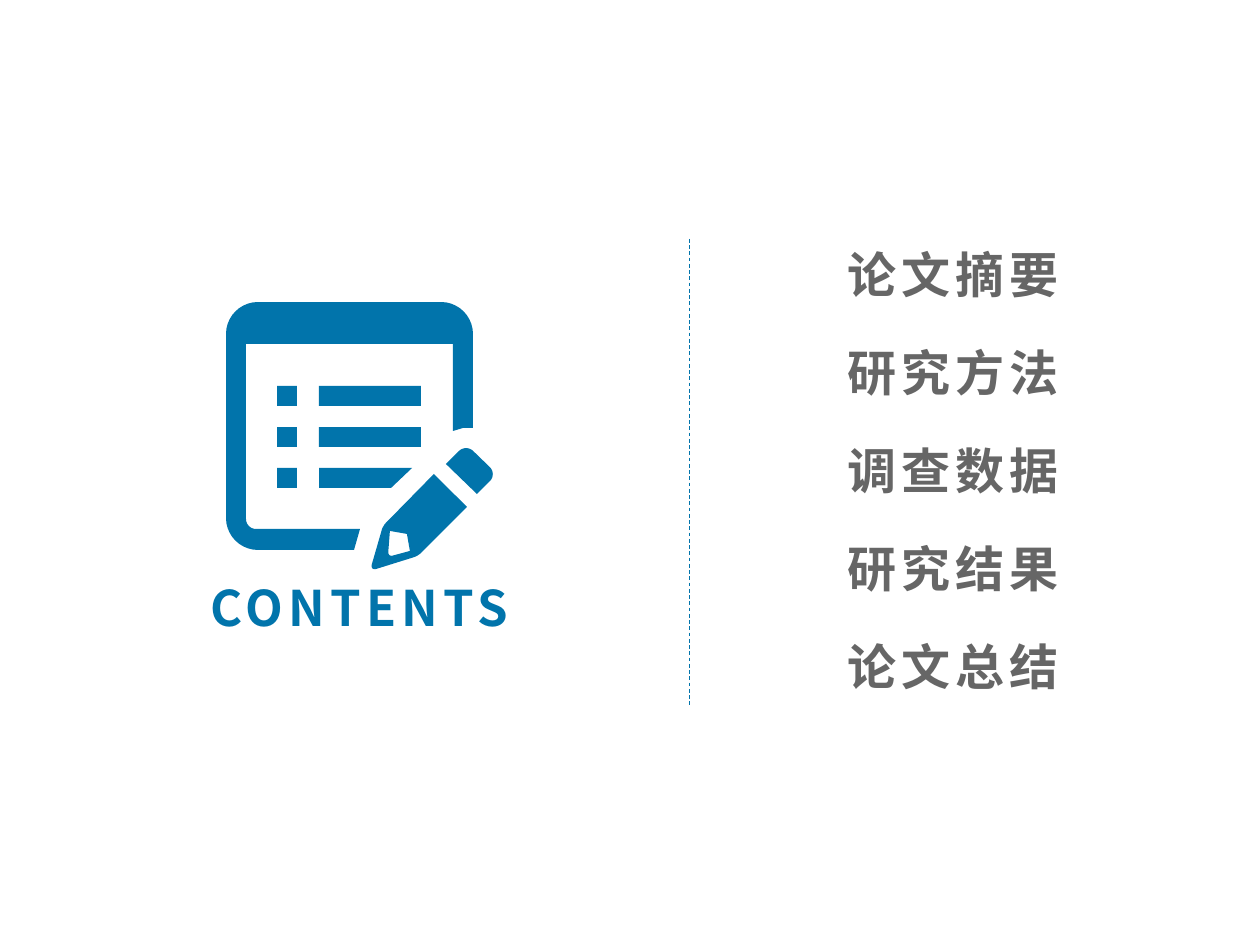
"""Build a contents slide with a notepad icon and five section titles."""
from math import dist

from lxml.etree import SubElement
from pptx import Presentation
from pptx.dml.color import RGBColor
from pptx.enum.dml import MSO_LINE
from pptx.enum.shapes import MSO_CONNECTOR, MSO_SHAPE
from pptx.enum.text import MSO_AUTO_SIZE, PP_ALIGN
from pptx.oxml.ns import qn
from pptx.util import Emu, Pt

FONT = "Noto Sans CJK SC"
BLUE = "0174AB"
GREY = "666666"
SECTIONS = ["论文摘要", "研究方法", "调查数据", "研究结果", "论文总结"]

PAD_FRAME = [
    (360, 529), (354, 550), (226, 550, 32), (226, 302, 32), (473, 302, 32),
    (473, 428), (463, 428), (453, 431), (453, 344), (246, 344), (246, 529, 10),
]
PENCIL_BODY = [(434, 474), (467, 507), (418, 556, 4), (370, 571, 7), (383, 526, 4)]
PENCIL_TIP = [(390, 531), (407, 534), (410, 551), (388, 557, 5)]
ERASER = [(446, 464), (466, 444, 10), (497, 474, 10), (477, 494)]
SHORT_BAR = [(319, 468), (412, 468), (391, 488), (319, 488)]


def px(length):
    """Turn pixels into EMU."""
    return Emu(round(length * 914400 / 126))


def color(hex_code):
    """Turn a hex string into a colour."""
    return RGBColor.from_string(hex_code)


def paint(shape, hex_code):
    """Give a shape a flat fill without line or shadow."""
    shape.shadow.inherit = False
    shape.fill.solid()
    shape.fill.fore_color.rgb = color(hex_code)
    shape.line.fill.background()


def toward(start, end, length):
    """Return the point at a given length from start toward end."""
    share = length / dist(start, end)
    return tuple(a + (b - a) * share for a, b in zip(start, end))


def rounded(corners, steps=10):
    """Return outline points, with corners that carry a radius rounded off."""
    points = []
    for index, (x, y, *radius) in enumerate(corners):
        corner = (x, y)
        if not radius:
            points.append(corner)
            continue
        before = corners[index - 1][:2]
        after = corners[(index + 1) % len(corners)][:2]
        controls = [
            toward(corner, before, radius[0]),
            toward(corner, before, radius[0] * 0.45),
            toward(corner, after, radius[0] * 0.45),
            toward(corner, after, radius[0]),
        ]
        for step in range(steps + 1):
            t = step / steps
            weights = ((1 - t) ** 3, 3 * t * (1 - t) ** 2, 3 * t * t * (1 - t), t ** 3)
            points.append(tuple(
                sum(w * c[axis] for w, c in zip(weights, controls)) for axis in (0, 1)
            ))
    return points


def add_outline(slide, *contours):
    """Draw one blue freeform; further contours cut holes."""
    paths = [[(px(x), px(y)) for x, y in rounded(corners)] for corners in contours]
    builder = slide.shapes.build_freeform(*paths[0][0])
    builder.add_line_segments(paths[0][1:], close=True)
    for hole in paths[1:]:
        builder.move_to(*hole[0])
        builder.add_line_segments(hole[1:], close=True)
    paint(builder.convert_to_shape(), BLUE)


def add_bar(slide, left, top, width, height):
    """Draw one blue rectangle."""
    bar = slide.shapes.add_shape(
        MSO_SHAPE.RECTANGLE, px(left), px(top), px(width), px(height))
    paint(bar, BLUE)


def add_text(slide, text, left, top, width, height=72, *, size=28,
             hex_code=GREY, align=PP_ALIGN.LEFT, spacing=3):
    """Add one line of bold, letter-spaced text."""
    box = slide.shapes.add_textbox(px(left), px(top), px(width), px(height))
    frame = box.text_frame
    frame.word_wrap = True
    frame.auto_size = MSO_AUTO_SIZE.SHAPE_TO_FIT_TEXT
    paragraph = frame.paragraphs[0]
    paragraph.alignment = align
    run = paragraph.add_run()
    run.text = text
    font = run.font
    font.name = FONT
    font.size = Pt(size)
    font.bold = True
    font.color.rgb = color(hex_code)
    properties = run._r.get_or_add_rPr()
    properties.set("spc", str(spacing * 100))
    SubElement(properties, qn("a:ea")).set("typeface", FONT)


def add_divider(slide, x, top, bottom):
    """Draw the dashed vertical divider."""
    divider = slide.shapes.add_connector(
        MSO_CONNECTOR.STRAIGHT, px(x), px(top), px(x), px(bottom))
    divider.line.color.rgb = color(BLUE)
    divider.line.width = Pt(0.5)
    divider.line.dash_style = MSO_LINE.DASH
    SubElement(divider._element.spPr, qn("a:effectLst"))


def add_icon(slide):
    """Draw the notepad with its list and pencil."""
    add_outline(slide, PAD_FRAME)
    add_outline(slide, PENCIL_BODY, PENCIL_TIP)
    add_outline(slide, ERASER)
    add_outline(slide, SHORT_BAR)
    for row in range(3):
        top = 386 + 41 * row
        add_bar(slide, 277, top, 20, 20)
        if row < 2:
            add_bar(slide, 319, top, 102, 20)


def main():
    """Build and save the slide."""
    deck = Presentation()
    deck.slide_width, deck.slide_height = px(1260), px(945)
    slide = deck.slides.add_slide(deck.slide_layouts[6])
    add_divider(slide, 689, 239, 705)
    for index, section in enumerate(SECTIONS):
        add_text(slide, section, 835, 238 + 98 * index, 247)
    add_icon(slide)
    add_text(slide, "CONTENTS", 176, 571, 367, hex_code=BLUE, align=PP_ALIGN.CENTER)
    deck.save("out.pptx")


if __name__ == "__main__":
    main()
